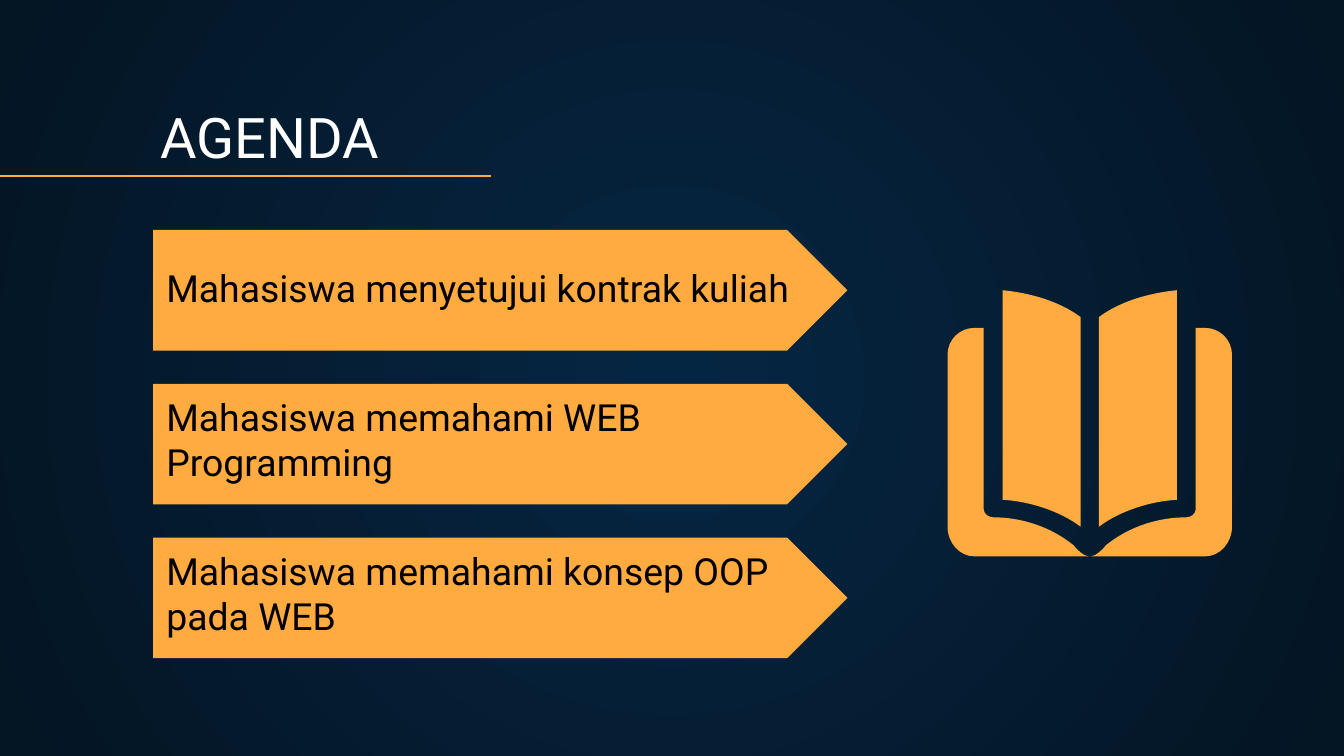
from lxml import etree
from pptx import Presentation
from pptx import util as u
from pptx.dml.color import RGBColor
from pptx.enum import shapes, text
from pptx.oxml.ns import qn

Pt = u.Pt
ORANGE, WHITE, BLACK = "FFAB40", "FFFFFF", "000000"
CENTER_BLUE, EDGE_BLUE = "052643", "041523"
AGENDA = [
    "Mahasiswa menyetujui kontrak kuliah",
    "Mahasiswa memahami WEB Programming",
    "Mahasiswa memahami konsep OOP pada WEB",
]

# Left half of the book in points: two numbers end a line, six a Bezier curve
BOOK_W = 152.4
PAGE = [(29.5, 0), (29.5, 112.3), (43.2, 113, 59.8, 118, 71.3, 126.7),
        (71.3, 14.4), (59.8, 5.8, 43.9, 1.4, 29.5, 0)]
COVER = [(14.4, 20.2), (6.5, 20.2, 0, 26.6, 0, 34.6), (0, 126.7),
         (0, 135.4, 6.5, 142.6, 14.4, 142.6), (75.6, 142.6),
         (73.4, 142.6, 69.1, 139, 67.7, 136.8),
         (55.4, 126.7, 39.6, 121.7, 24.5, 121.7),
         (21.6, 121.7, 19.4, 119.5, 19.4, 117.4), (19.4, 20.2)]


def rgb(value):
    return RGBColor.from_string(value)


def paint(sp, color):
    sp.shadow.inherit = False
    sp.fill.solid()
    sp.fill.fore_color.rgb = rgb(color)
    sp.line.fill.background()


def add_text(s, box, content, size=20, color=BLACK, font="Roboto"):
    tf = s.shapes.add_textbox(*map(Pt, box)).text_frame
    tf.word_wrap = True
    tf.vertical_anchor = text.MSO_ANCHOR.BOTTOM
    tf.margin_left = tf.margin_right = tf.margin_top = tf.margin_bottom = Pt(7.2)
    r = tf.paragraphs[0].add_run()
    r.text = content
    r.font.size, r.font.name = Pt(size), font
    r.font.color.rgb = rgb(color)


def background(s):
    fill = s.background.fill
    fill.gradient()
    for stop, color in zip(fill.gradient_stops, (CENTER_BLUE, EDGE_BLUE)):
        stop.color.rgb = rgb(color)
    # Turn the linear gradient into a circular one
    lin = next(s.background._cSld.iter(qn("a:lin")))
    circle = etree.Element(qn("a:path"), path="circle")
    etree.SubElement(circle, qn("a:fillToRect"),
                     {side: "50000" for side in "ltrb"})
    lin.getparent().replace(lin, circle)


def heading(s, x, y, w, h):
    add_text(s, (x, y, w, h), "AGENDA", size=30, color=WHITE)
    # Rule from the slide's left edge
    line = s.shapes.add_connector(shapes.MSO_CONNECTOR.STRAIGHT,
                                  0, Pt(94.3), Pt(262.8), Pt(94.3))
    line.line.color.rgb = rgb(ORANGE)
    line.line.width = Pt(0.75)
    etree.SubElement(line._element.spPr, qn("a:effectLst"))


def agenda(s, x, y, w, h):
    banner_h = 64.6
    pitch = (h - banner_h) / (len(AGENDA) - 1)
    for i, item in enumerate(AGENDA):
        top = y + i * pitch
        sp = s.shapes.add_shape(shapes.MSO_SHAPE.PENTAGON,
                                Pt(x), Pt(top), Pt(w), Pt(banner_h))
        sp.adjustments[0] = 0.5
        paint(sp, ORANGE)
        # The single-line first item sits higher in its banner
        offset = 14.8 if i == 0 else 25.6
        add_text(s, (x, top + offset, w - 14.4, 35.3), item)


def add_outline(group, outline, place):
    """Draw an outline of lines and curves; place maps x, y to the slide."""
    segs = [[place(*seg[i:i + 2]) for i in range(0, len(seg), 2)]
            for seg in outline]
    fb = group.shapes.build_freeform(*segs[0][0])
    fb.add_line_segments([seg[-1] for seg in segs[1:]], close=True)
    sp = fb.convert_to_shape()
    # Swap the line for a true curve wherever there are control points
    lines = list(sp._element.iter(qn("a:lnTo")))
    for ln, seg in zip(lines, segs[1:]):
        if len(seg) == 3:
            curve = etree.Element(qn("a:cubicBezTo"))
            for px, py in seg:
                etree.SubElement(curve, qn("a:pt"), x=str(px - sp.left),
                                 y=str(py - sp.top))
            ln.getparent().replace(ln, curve)
    paint(sp, ORANGE)


def book(s, x, y):
    def left(px, py):
        return Pt(x + px), Pt(y + py)

    def right(px, py):
        return Pt(x + BOOK_W - px), Pt(y + py)

    group = s.shapes.add_group_shape()
    for outline, place in ((COVER, right), (PAGE, left),
                           (PAGE, right), (COVER, left)):
        add_outline(group, outline, place)


def main():
    prs = Presentation()
    prs.slide_width, prs.slide_height = Pt(720), Pt(405)
    s = prs.slides.add_slide(prs.slide_layouts[6])
    background(s)
    heading(s, 78.8, 50.9, 617, 47.5)
    agenda(s, 82, 123.2, 372, 229.4)
    book(s, 507.6, 155.5)
    prs.save("out.pptx")


if __name__ == "__main__":
    main()
